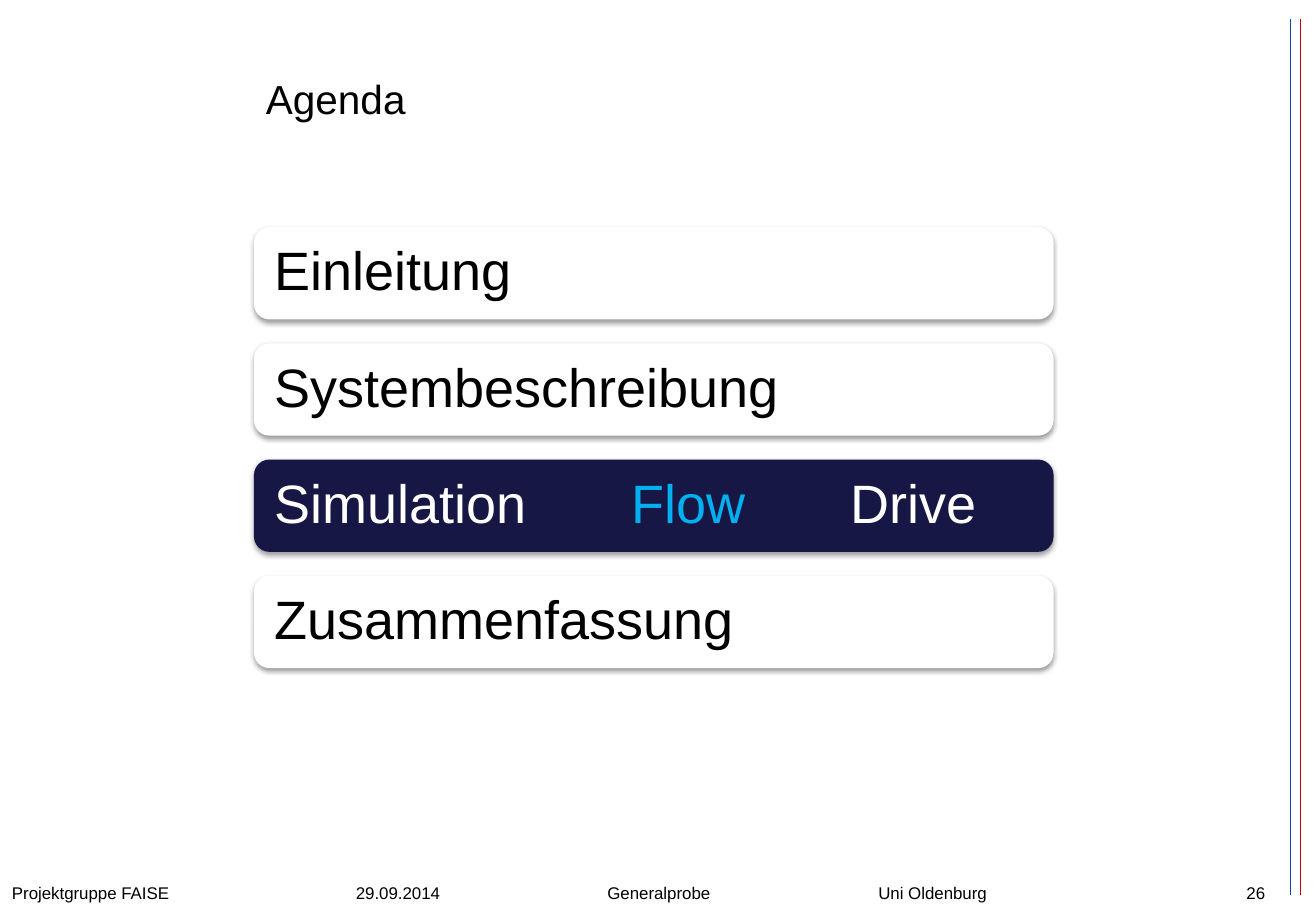
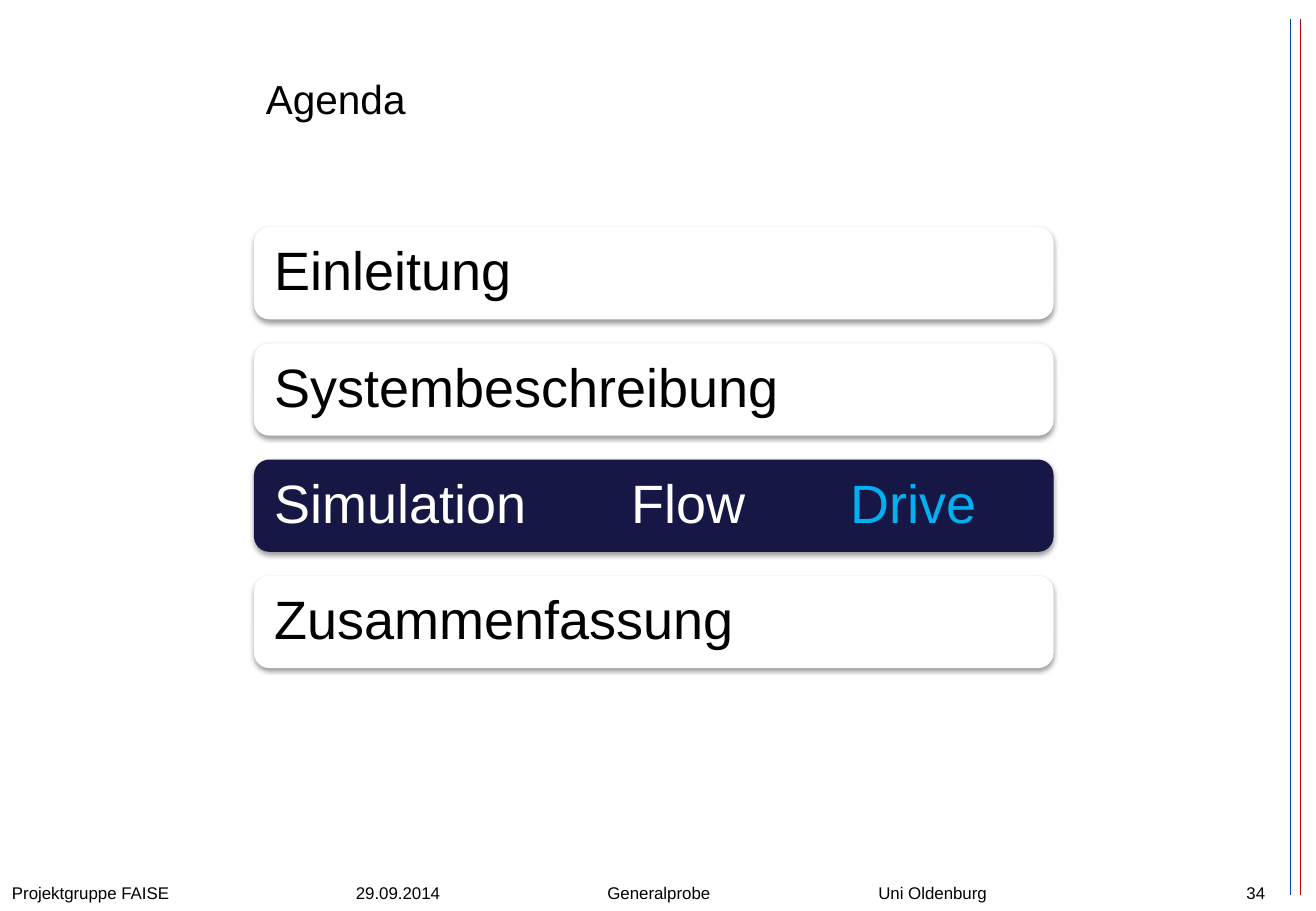
from lxml.etree import SubElement
from pptx import Presentation
from pptx.dml.color import RGBColor
from pptx.enum.shapes import MSO_CONNECTOR, MSO_SHAPE
from pptx.enum.text import MSO_ANCHOR, PP_ALIGN
from pptx.oxml.ns import qn
from pptx.util import Inches, Pt

COLORS = {
    "black": "000000",
    "white": "FFFFFF",
    "navy": "171745",
    "highlight": "00B0F0",
    "red": "C50007",
    "blue": "004CA0",
}
FONT = "Arial"
FOOTER = ["Projektgruppe FAISE", "29.09.2014", "Generalprobe", "Uni Oldenburg"]
FOOTER_TABS = [2.83, 4.9, 7.13]
EDGE_LINES = [(10.7, "red"), (10.62, "blue")]
AGENDA = [["Einleitung"], ["Systembeschreibung"], ["Simulation", "Flow", "Drive"], ["Zusammenfassung"]]
AGENDA_TABS = [2.94, 4.74]
CURRENT = AGENDA[2]
ROW_TOP, ROW_STEP = 1.87, 0.957
PAGES = [("26", "Flow"), ("34", "Drive")]


def write_text(shape, parts, size, color="black", highlight=None, tabs=(),
               align=PP_ALIGN.LEFT, anchor=MSO_ANCHOR.TOP, line_spacing=None):
    frame = shape.text_frame
    frame.word_wrap = True
    frame.vertical_anchor = anchor
    paragraph = frame.paragraphs[0]
    paragraph.alignment = align
    if tabs:
        tab_list = SubElement(paragraph._p.get_or_add_pPr(), qn("a:tabLst"))
        for position in tabs:
            SubElement(tab_list, qn("a:tab"), pos=str(Inches(position)), algn="l")
    paragraph.line_spacing = line_spacing
    for index, part in enumerate(parts):
        run = paragraph.add_run()
        run.text = "\t" + part if index else part
        run.font.name = FONT
        run.font.size = Pt(size)
        run.font.color.rgb = RGBColor.from_string(COLORS["highlight" if part == highlight else color])


def add_shadow(shape):
    effects = SubElement(shape._element.spPr, qn("a:effectLst"))
    shadow = SubElement(effects, qn("a:outerShdw"), blurRad=str(Pt(3.1)), dist=str(Pt(1.6)),
                        dir="5400000", rotWithShape="0")
    shadow_color = SubElement(shadow, qn("a:srgbClr"), val=COLORS["black"])
    SubElement(shadow_color, qn("a:alpha"), val="38000")


presentation = Presentation()
presentation.slide_width = Inches(10.83)
presentation.slide_height = Inches(7.5)

for page_number, highlight in PAGES:
    slide = presentation.slides.add_slide(presentation.slide_layouts[6])

    for x, color in EDGE_LINES:
        line = slide.shapes.add_connector(MSO_CONNECTOR.STRAIGHT, Inches(x), Inches(0.16), Inches(x), Inches(7.37))
        line.line.color.rgb = RGBColor.from_string(COLORS[color])
        line.line.width = Pt(0.25)
        SubElement(line._element.spPr, qn("a:effectLst"))

    title = slide.shapes.add_textbox(Inches(2.09), Inches(0.3), Inches(8.2), Inches(1.01))
    write_text(title, ["Agenda"], 24, anchor=MSO_ANCHOR.MIDDLE)

    number = slide.shapes.add_textbox(Inches(7.98), Inches(7.22), Inches(2.53), Inches(0.24))
    write_text(number, [page_number], 10, align=PP_ALIGN.RIGHT)

    footer = slide.shapes.add_textbox(Inches(0), Inches(7.22), Inches(10.19), Inches(0.28))
    write_text(footer, FOOTER, 10, tabs=FOOTER_TABS)

    for row, parts in enumerate(AGENDA):
        active = parts is CURRENT
        box = slide.shapes.add_shape(MSO_SHAPE.ROUNDED_RECTANGLE, Inches(2.09), Inches(ROW_TOP + row * ROW_STEP),
                                     Inches(6.58), Inches(0.76))
        box.fill.solid()
        box.fill.fore_color.rgb = RGBColor.from_string(COLORS["navy" if active else "white"])
        box.line.fill.background()
        add_shadow(box)
        box.text_frame.margin_left = box.text_frame.margin_right = Inches(0.13)
        write_text(box, parts, 32, color="white" if active else "black", highlight=highlight,
                   tabs=AGENDA_TABS if active else (), anchor=MSO_ANCHOR.MIDDLE, line_spacing=0.9)

presentation.save("out.pptx")
